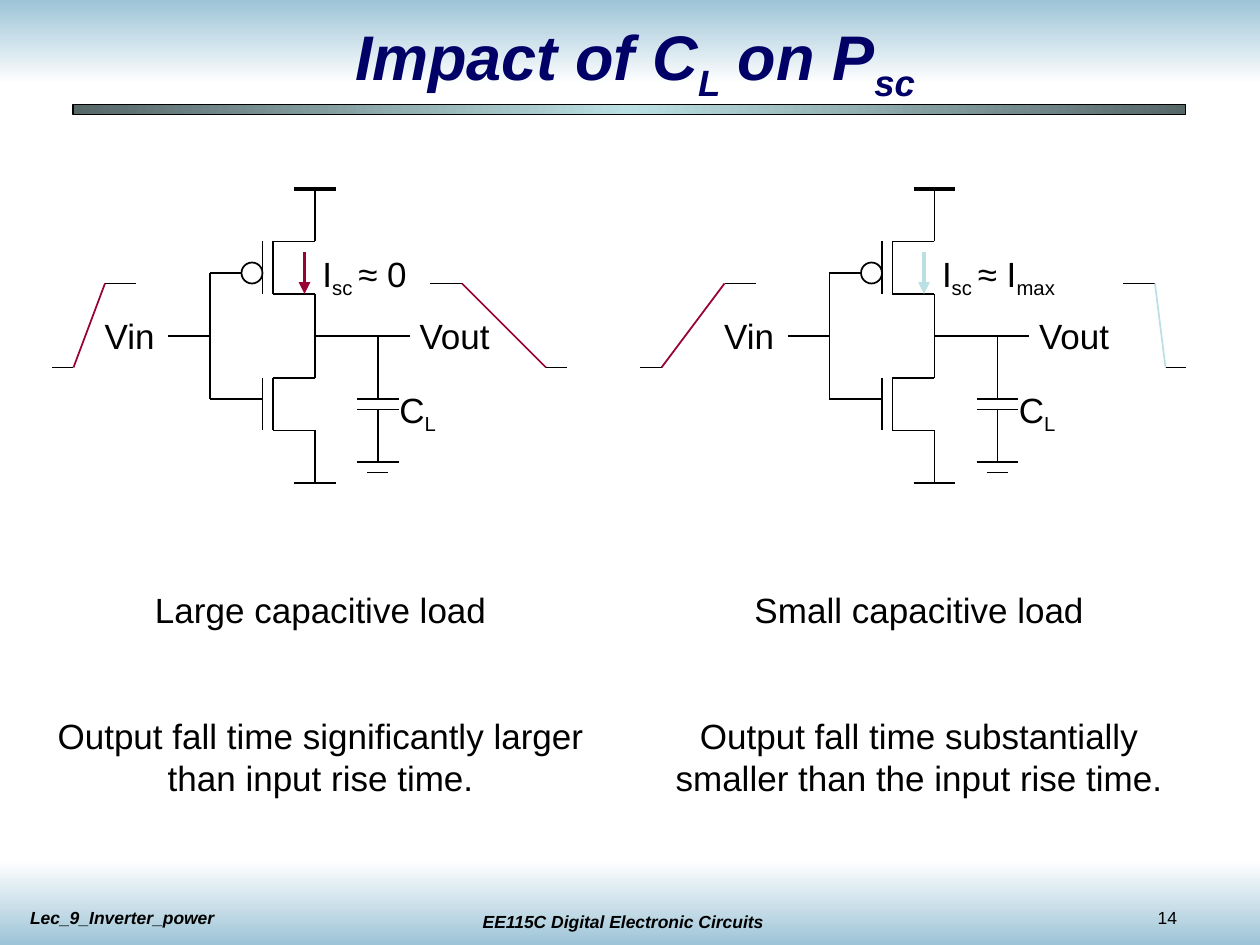
import copy

import pptx
import pptx.dml.color
import pptx.enum.shapes
import pptx.enum.text
import pptx.oxml
import pptx.oxml.ns
import pptx.util

Inches = pptx.util.Inches
Pt = pptx.util.Pt
RGBColor = pptx.dml.color.RGBColor
SHAPE = pptx.enum.shapes.MSO_SHAPE
ALIGN = pptx.enum.text.PP_ALIGN
qn = pptx.oxml.ns.qn

BLACK = RGBColor(0x00, 0x00, 0x00)
WHITE = RGBColor(0xFF, 0xFF, 0xFF)
NAVY = RGBColor(0x00, 0x00, 0x66)
SKY = RGBColor(0x9D, 0xC4, 0xD7)
SLATE = RGBColor(0x56, 0x67, 0x68)
CRIMSON = RGBColor(0x99, 0x00, 0x33)
AQUA = RGBColor(0xBB, 0xE0, 0xE3)

FONT = "Arial"
GRID = 12  # circuit grid units per inch
CIRCUIT_STEP = 59  # grid units from the left circuit to the right one

# Circuit wires in grid units: x1, y1, x2, y2
TRANSISTOR = [(26, 0, 26, 5), (25, 0, 25, 5), (26, 0, 30, 0), (26, 5, 30, 5)]
TRANSISTOR_TOPS = (23, 36)
WIRES = [
    (20, 26, 23, 26), (20, 38, 25, 38), (20, 26, 20, 38), (16, 32, 20, 32),  # input
    (30, 18, 30, 23), (30, 28, 30, 36), (30, 41, 30, 46), (28, 46, 32, 46),  # rails
    (30, 32, 39, 32), (36, 32, 36, 38), (36, 39, 36, 44),  # output
    (34, 38, 38, 38), (34, 39, 38, 39),  # capacitor plates
    (34, 44, 38, 44), (35, 45, 37, 45),  # ground
]


def add_text(p, text, size=20, color=BLACK, bold=False, italic=False,
             align=None, before=None):
    """Fill a paragraph; every second piece between bars is a subscript."""
    p.alignment = align
    if before is not None:
        p.space_before = Pt(before)
    for i, piece in enumerate(text.split("|")):
        if not piece:
            continue
        r = p.add_run()
        r.text = piece
        r.font.name = FONT
        r.font.size = Pt(size)
        r.font.bold = bold
        r.font.italic = italic
        r.font.color.rgb = color
        if i % 2:
            r.font._element.set("baseline", "-25000")


class SlideBuilder:
    def __init__(self, prs):
        self.s = prs.slides.add_slide(prs.slide_layouts[5])

    def gradient_bar(self, x, y, w, h, colors, angle, outline=False):
        sp = self.s.shapes.add_shape(SHAPE.RECTANGLE, Inches(x), Inches(y),
                                     Inches(w), Inches(h))
        sp.shadow.inherit = False
        sp.fill.gradient()
        sp.fill.gradient_angle = angle
        stops = sp.fill._xPr.find(qn("a:gradFill")).find(qn("a:gsLst"))
        while len(stops) < len(colors):
            stops.append(copy.deepcopy(stops[0]))
        for i, (stop, color) in enumerate(zip(sp.fill.gradient_stops, colors)):
            stop.position = i / (len(colors) - 1)
            stop.color.rgb = color
        if outline:
            sp.line.color.rgb = BLACK
            sp.line.width = Pt(0.75)
        else:
            sp.line.fill.background()

    def title(self, text):
        sp = self.s.shapes.title
        sp.element.getparent().append(sp.element)  # in front of the bands
        sp.left, sp.top = Inches(0.58), Inches(0.25)
        sp.width, sp.height = Inches(8.92), Inches(0.46)
        tf = sp.text_frame
        tf.auto_size = pptx.enum.text.MSO_AUTO_SIZE.NONE
        tf.vertical_anchor = pptx.enum.text.MSO_ANCHOR.MIDDLE
        add_text(tf.paragraphs[0], text, size=36, color=NAVY, bold=True,
                 italic=True, align=ALIGN.CENTER)

    def text(self, x, y, w, h, *lines, inset=(0, 0), wrap=False, gap=None, **fmt):
        sp = self.s.shapes.add_textbox(Inches(x), Inches(y), Inches(w), Inches(h))
        tf = sp.text_frame
        tf.word_wrap = wrap
        tf.margin_left = tf.margin_right = Inches(inset[0])
        tf.margin_top = tf.margin_bottom = Inches(inset[1])
        for i, line in enumerate(lines):
            p = tf.add_paragraph() if i else tf.paragraphs[0]
            if i and gap:
                fmt["before"] = gap
            add_text(p, line, **fmt)

    def line(self, x1, y1, x2, y2, color=BLACK, width=1, arrow=False):
        """Draw a straight line between two points given in grid units."""
        ends = [Inches(v / GRID) for v in (x1, y1, x2, y2)]
        c = self.s.shapes.add_connector(pptx.enum.shapes.MSO_CONNECTOR.STRAIGHT, *ends)
        c.line.color.rgb = color
        c.line.width = Pt(width)
        if arrow:
            tail = pptx.oxml.parse_xml(
                '<a:tailEnd xmlns:a="http://schemas.openxmlformats.org/'
                'drawingml/2006/main" type="triangle"/>')
            c.line._get_or_add_ln().append(tail)
        sp_pr = c._element.spPr
        sp_pr.append(sp_pr.makeelement(qn("a:effectLst"), {}))

    def bubble(self, x, y, size):
        sp = self.s.shapes.add_shape(SHAPE.OVAL, *[Inches(v / GRID)
                                                   for v in (x, y, size, size)])
        sp.shadow.inherit = False
        sp.fill.background()
        sp.line.color.rgb = BLACK
        sp.line.width = Pt(1)

    def waveform(self, points, edge_color):
        """Flat level, coloured edge, flat level."""
        for start, end, color in zip(points, points[1:], (BLACK, edge_color, BLACK)):
            self.line(*start, *end, color=color)

    def inverter(self, dx, current, current_w, current_color):
        for x1, y1, x2, y2 in WIRES:
            self.line(x1 + dx, y1, x2 + dx, y2)
        for top in TRANSISTOR_TOPS:
            for x1, y1, x2, y2 in TRANSISTOR:
                self.line(x1 + dx, y1 + top, x2 + dx, y2 + top)
        self.bubble(23 + dx, 25, 2)
        self.line(28 + dx, 18, 32 + dx, 18, width=2.25)
        self.line(29 + dx, 24, 29 + dx, 28, color=current_color, width=2.25, arrow=True)

        left = dx / GRID
        self.text(0.83 + left, 2.5, 0.42, 0.33, "Vin")
        self.text(3.33 + left, 2.5, 0.6, 0.33, "Vout")
        self.text(3.17 + left, 3.08, 0.34, 0.38, "C|L|")
        self.text(2.56 + left, 2, current_w, 0.38, current)


def main():
    prs = pptx.Presentation()
    prs.slide_width, prs.slide_height = Inches(10), Inches(7.5)
    b = SlideBuilder(prs)

    # Background bands, title and rule
    b.gradient_bar(0, 0, 10, 0.67, (SKY, WHITE), 270)
    b.gradient_bar(0, 6.83, 10, 0.67, (WHITE, SKY), 270)
    b.gradient_bar(0.58, 0.83, 8.83, 0.08, (SLATE, AQUA, SLATE), 0, outline=True)
    b.title("Impact of C|L| on P|sc|")

    # Footer
    footer = dict(inset=(0.1, 0.05), size=10)
    strong = dict(footer, wrap=True, bold=True, italic=True, before=6.2)
    b.text(0.14, 7.15, 2.83, 0.27, "Lec_9_Inverter_power", **strong)
    b.text(3.53, 7.18, 2.83, 0.27, "EE115C Digital Electronic Circuits",
           align=ALIGN.CENTER, **strong)
    b.text(9.09, 7.15, 0.83, 0.27, "14", **footer)

    # Inverters
    b.inverter(0, "I|sc |≈ 0", 0.76, CRIMSON)
    b.inverter(CIRCUIT_STEP, "I|sc |≈ I|max|", 1, AQUA)

    # Input and output waveforms
    b.waveform([(5, 35), (7, 35), (10, 27), (13, 27)], CRIMSON)
    b.waveform([(41, 27), (44, 27), (52, 35), (54, 35)], CRIMSON)
    b.waveform([(61, 35), (63, 35), (69, 27), (72, 27)], CRIMSON)
    b.waveform([(107, 27), (110, 27), (111, 35), (113, 35)], AQUA)

    # Captions
    captions = [
        (0.42, "Large capacitive load",
         "Output fall time significantly larger than input rise time."),
        (5.17, "Small capacitive load",
         "Output fall time substantially smaller than the input rise time."),
    ]
    for x, heading, detail in captions:
        b.text(x, 4.67, 4.25, 1.67, heading, detail, wrap=True, gap=48,
               align=ALIGN.CENTER)

    prs.save("out.pptx")


if __name__ == "__main__":
    main()
